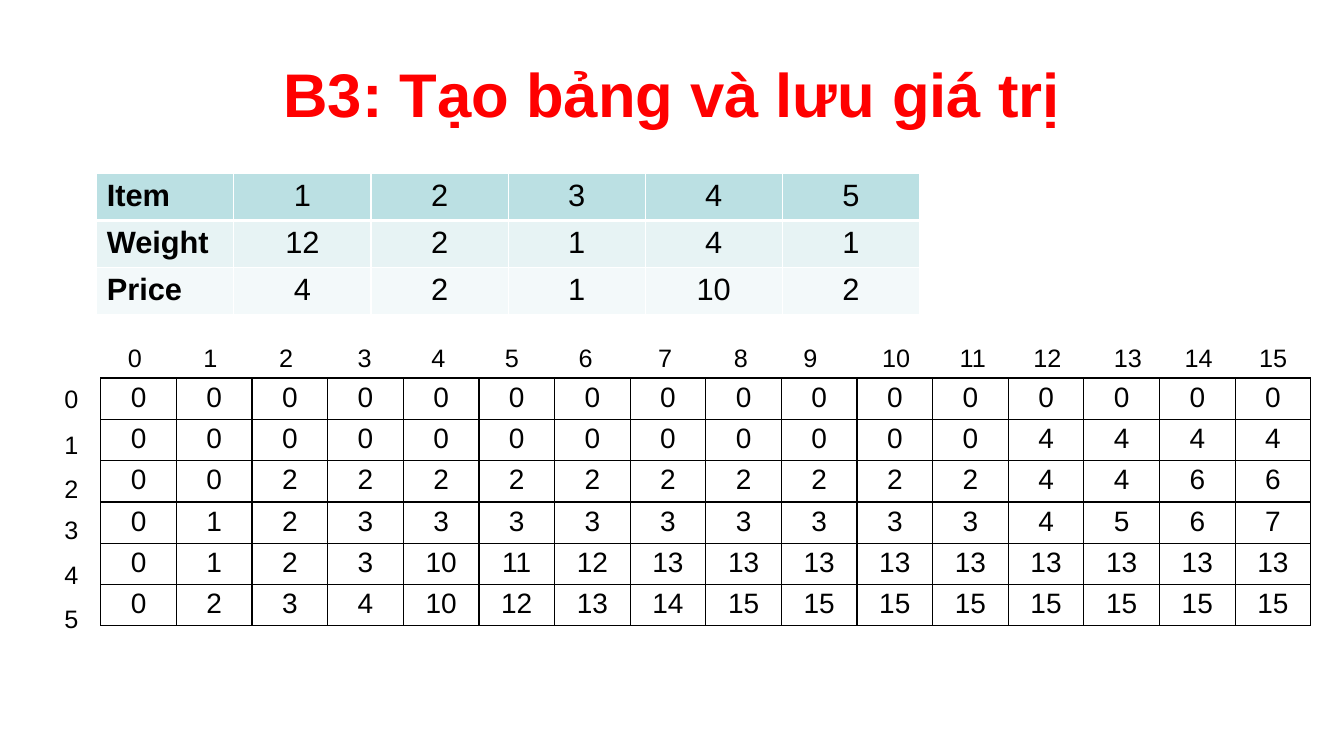
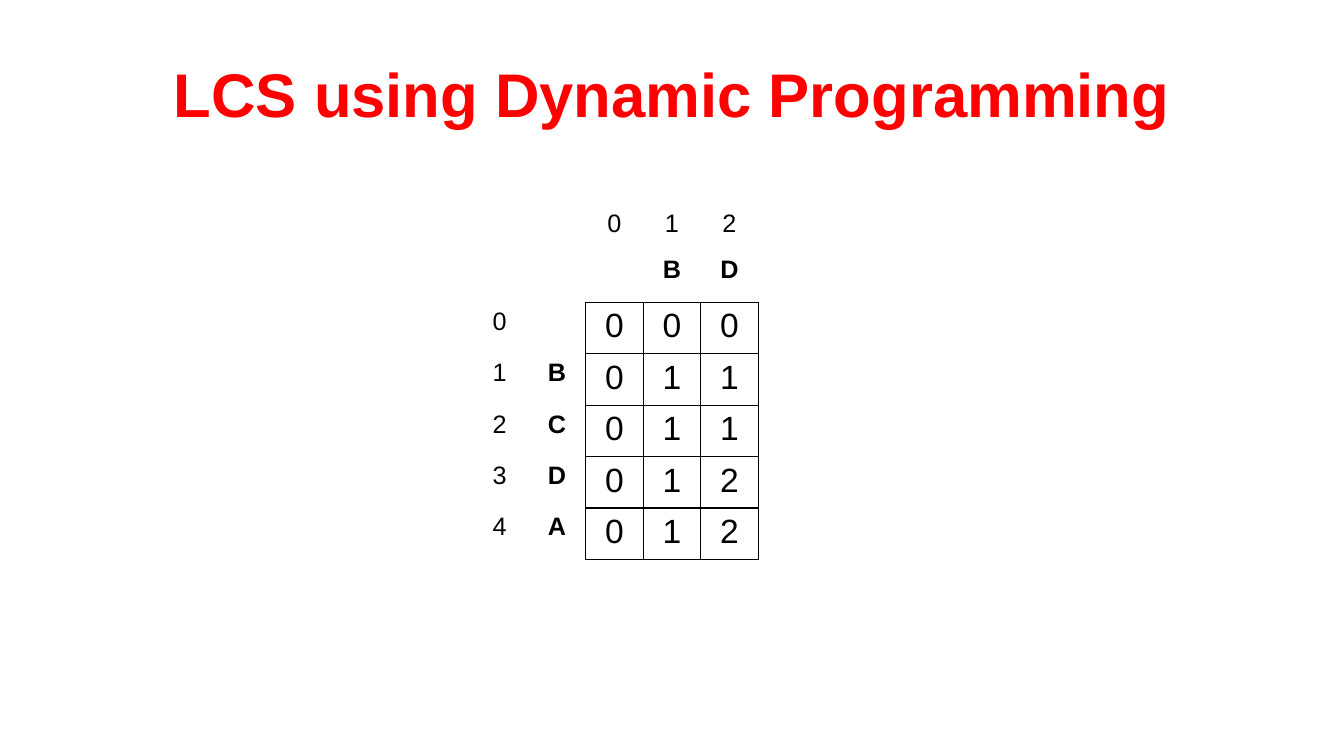
import pptx
import pptx.util
import pptx.dml.color
import pptx.enum.text
import lxml.etree

RGBColor = pptx.dml.color.RGBColor
Inches = pptx.util.Inches
RED = RGBColor(0xFF, 0x00, 0x00)
BLACK = RGBColor(0x00, 0x00, 0x00)
WHITE = RGBColor(0xFF, 0xFF, 0xFF)
TEAL = RGBColor(0xBB, 0xE0, 0xE3)
TEAL_LIGHT = RGBColor(0xE7, 0xF3, 0xF4)
TEAL_PALE = RGBColor(0xF3, 0xF9, 0xFA)
DRAWING = "http://schemas.openxmlformats.org/drawingml/2006/main"
PLAIN_STYLE = "{2D5ABB26-0587-4C30-8999-92F81FD0307C}"
ALIGN = pptx.enum.text.PP_ALIGN
ANCHOR = pptx.enum.text.MSO_ANCHOR


class Slides:
    """Holds the deck, its style and the current page."""

    font = "Arial"

    def __init__(self):
        self.deck = pptx.Presentation()
        self.deck.slide_width = Inches(13.33)
        self.deck.slide_height = Inches(7.5)
        self.page = None

    def set_text(self, frame, text, size, color=BLACK, bold=False, align=ALIGN.CENTER):
        frame.text = text
        for para in frame.paragraphs:
            para.alignment = align
            for span in para.runs:
                span.font.name = self.font
                span.font.size = pptx.util.Pt(size)
                span.font.bold = bold
                span.font.color.rgb = color

    def start(self, title):
        self.page = self.deck.slides.add_slide(self.deck.slide_layouts[5])
        box = self.page.shapes.title
        box.left, box.top = Inches(0.67), Inches(0.3)
        box.width, box.height = Inches(12), Inches(1.25)
        box.text_frame.vertical_anchor = ANCHOR.MIDDLE
        self.set_text(box.text_frame, title, 44, RED, True)

    def label(self, text, left, top):
        width = 0.34 if len(text) == 1 else 0.48
        box = self.page.shapes.add_textbox(
            Inches(left), Inches(top), Inches(width), Inches(0.4))
        box.text_frame.word_wrap = False
        box.text_frame.auto_size = pptx.enum.text.MSO_AUTO_SIZE.SHAPE_TO_FIT_TEXT
        self.set_text(box.text_frame, text, 18, align=ALIGN.LEFT)

    def border(self, cell, color, widths):
        properties = cell._tc.get_or_add_tcPr()
        for side, width in zip("LRTB", widths):
            line = lxml.etree.SubElement(
                properties, f"{{{DRAWING}}}ln{side}", w=str(pptx.util.Pt(width)))
            fill = lxml.etree.SubElement(line, f"{{{DRAWING}}}solidFill")
            lxml.etree.SubElement(fill, f"{{{DRAWING}}}srgbClr", val=str(color))

    def table(self, rows, left, top, column, row, size, line=None, fills=None,
              bold=False, headed=False, margin=0.05):
        count = len(rows[0])
        table = self.page.shapes.add_table(
            len(rows), count, Inches(left), Inches(top),
            Inches(column * count), Inches(row * len(rows))).table
        table.first_row = table.horz_banding = False
        table._tbl.tblPr.find(f"{{{DRAWING}}}tableStyleId").text = PLAIN_STYLE
        for y, values in enumerate(rows):
            for x, value in enumerate(values):
                cell = table.cell(y, x)
                cell.margin_top = cell.margin_bottom = Inches(margin)
                heading = headed and x == 0
                self.set_text(cell.text_frame, value, size, bold=bold or heading,
                              align=ALIGN.LEFT if heading else ALIGN.CENTER)
                if line is not None:
                    self.border(cell, line, (1, 1, 3 if headed and y == 1 else 1,
                                             3 if headed and y == 0 else 1))
                if fills:
                    cell.fill.solid()
                    cell.fill.fore_color.rgb = fills[y]
                else:
                    cell.fill.background()


def knapsack(slides):
    slides.start("B3: Tạo bảng và lưu giá trị")
    values = [
        ["0"] * 16,
        ["0"] * 12 + ["4"] * 4,
        ["0"] * 2 + ["2"] * 10 + "4 4 6 6".split(),
        "0 1 2".split() + ["3"] * 9 + "4 5 6 7".split(),
        "0 1 2 3 10 11 12".split() + ["13"] * 9,
        "0 2 3 4 10 12 13 14".split() + ["15"] * 8,
    ]
    slides.table(values, 1, 3.75, 0.75, 0.41, 20, BLACK, margin=0.04)
    column_lefts = (1.17, 1.92, 2.67, 3.45, 4.18, 4.91, 5.64, 6.43,
                    7.18, 7.87, 8.65, 9.42, 10.15, 10.95, 11.65, 12.39)
    for number, left in enumerate(column_lefts):
        slides.label(str(number), left, 3.35)
    for number, top in enumerate((3.75, 4.21, 4.65, 5.05, 5.5, 5.94)):
        slides.label(str(number), 0.54, top)
    items = [
        ["Item", "1", "2", "3", "4", "5"],
        ["Weight", "12", "2", "1", "4", "1"],
        ["Price", "4", "2", "1", "10", "2"],
    ]
    slides.table(items, 0.96, 1.72, 1.36, 0.46, 22, WHITE,
                 (TEAL, TEAL_LIGHT, TEAL_PALE), headed=True)


def subsequence(slides):
    slides.start("LCS using Dynamic Programming")
    column, row, left, top = 0.57, 0.51, 5.81, 3
    lengths = ["000", "011", "011", "012", "012"]
    slides.table(lengths, left, top, column, row, 24, BLACK)
    slides.table(["012"], left, 2.03, column, row, 18)
    slides.table(list("01234"), left - 2 * column, top, column, row, 18)
    slides.table([["", "B", "D"]], left, 2.49, column, row, 18, bold=True)
    slides.table([[""], ["B"], ["C"], ["D"], ["A"]],
                 left - column, top, column, row, 18, bold=True)


def main():
    slides = Slides()
    knapsack(slides)
    subsequence(slides)
    slides.deck.save("out.pptx")


if __name__ == "__main__":
    main()
